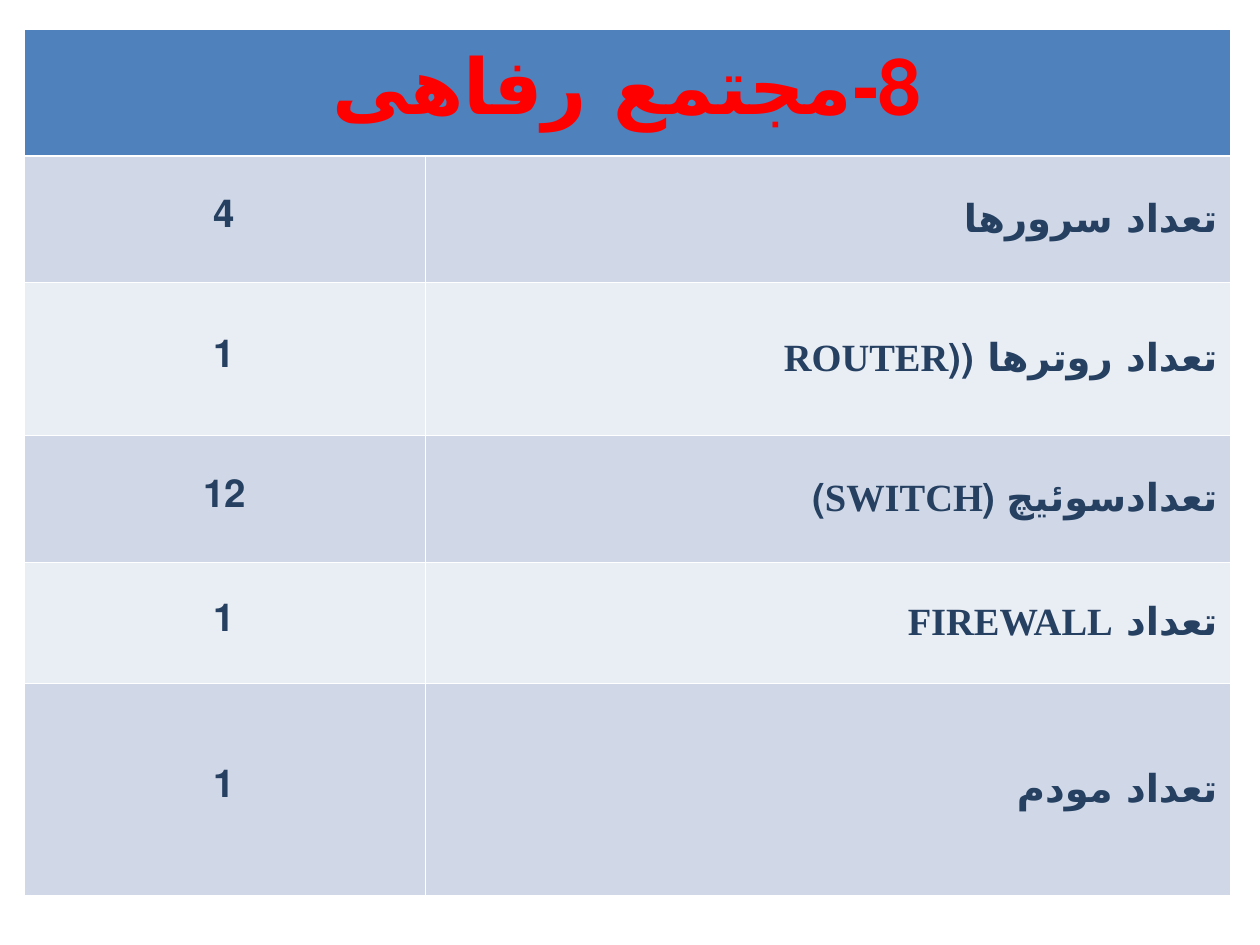
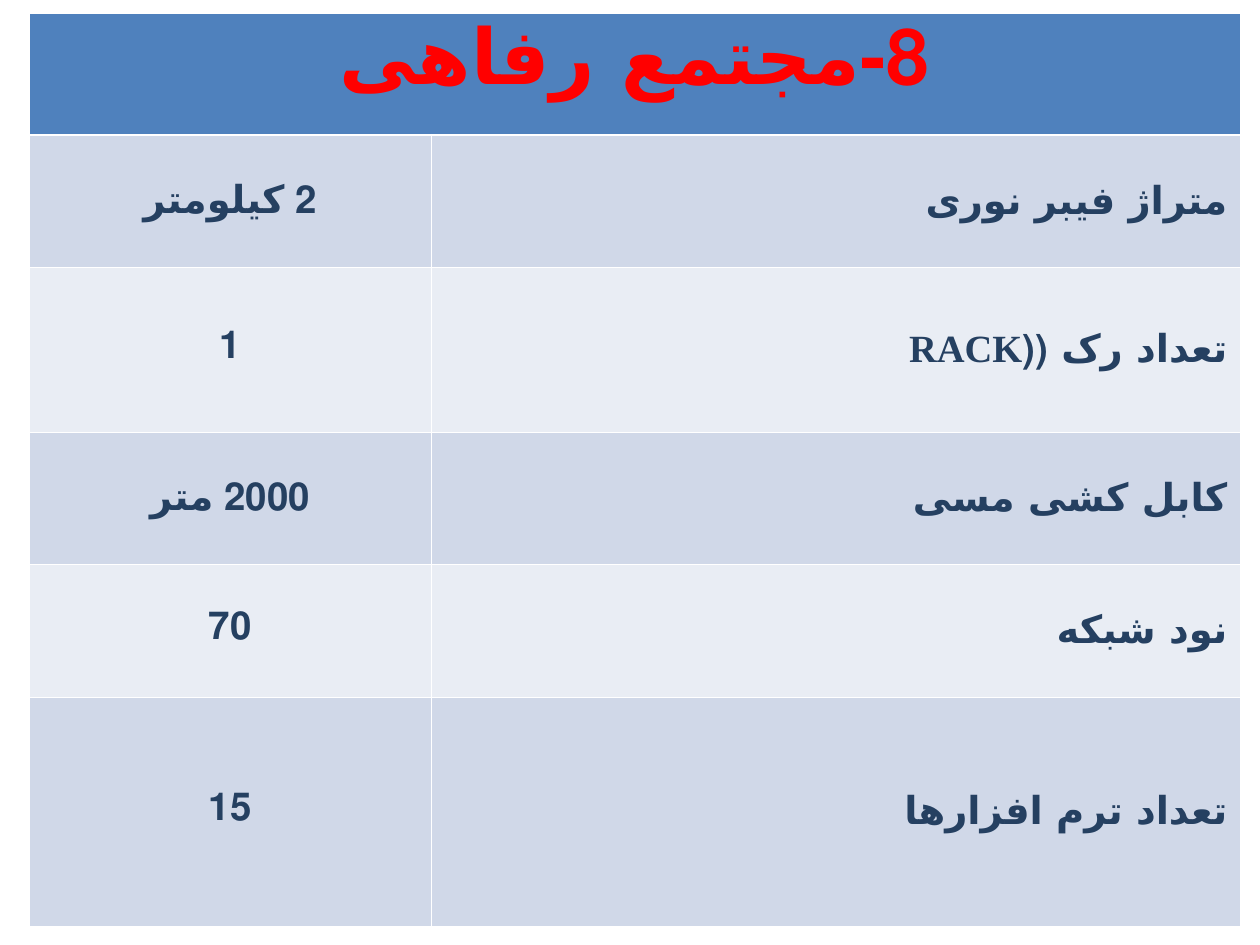
"""Build two slides of right-to-left equipment tables for a welfare complex."""
from lxml import etree
from pptx import Presentation
from pptx.dml.color import RGBColor
from pptx.enum.text import MSO_ANCHOR, PP_ALIGN
from pptx.oxml.ns import qn
from pptx.util import Pt

PX = 914400 / 126
MID, TOP = MSO_ANCHOR.MIDDLE, MSO_ANCHOR.TOP
CENTER, RIGHT = PP_ALIGN.CENTER, PP_ALIGN.RIGHT
WORD = ("Calibri", "DejaVu Sans")
NUM = ("Calibri", "Helvetica")
LATIN = ("Times New Roman", "Helvetica")
HEAD, BANDS, RULE = "4F81BD", ("D0D8E8", "E9EDF4"), "FFFFFF"
THIN, THICK = 0.45, 1.47
TITLE = [("8-", NUM), ("مجتمع رفاهی", WORD)]
BIG = {"size": Pt(44), "bold": True}
TEXT = {"size": Pt(22), "bold": True}

TABLES = [
    {"left": 24, "top": 29, "cols": (401, 805), "anchor": MID,
     "rows": (127, 126, 153, 127, 121, 212),
     "items": [
         ([("4", NUM)], [("تعداد سرورها", WORD)]),
         ([("1", NUM)], [("تعداد روترها ", WORD), ("((ROUTER", LATIN)]),
         ([("12", NUM)], [("تعدادسوئیچ", WORD), (" (SWITCH)", LATIN)]),
         ([("1", NUM)], [("تعداد ", WORD), ("FIREWALL", LATIN)]),
         ([("1", NUM)], [("تعداد مودم", WORD)])]},
    {"left": 29, "top": 13, "cols": (402, 809), "anchor": TOP,
     "rows": (122, 132, 165, 132, 133, 229),
     "items": [
         ([("2 ", NUM), ("کیلومتر", WORD)], [("متراژ فیبر نوری", WORD)]),
         ([("1", NUM)], [("تعداد رک ", WORD), ("((RACK", LATIN)]),
         ([("2000 ", NUM), ("متر", WORD)], [("کابل کشی مسی", WORD)]),
         ([("70", NUM)], [("نود شبکه", WORD)]),
         ([("15", NUM)], [("تعداد ترم افزارها", WORD)])]},
]


def px(n):
    return round(n * PX)


def color(text):
    return RGBColor.from_string(text)


deck = Presentation()
deck.slide_width, deck.slide_height = px(1260), px(945)

for data in TABLES:
    slide = deck.slides.add_slide(deck.slide_layouts[6])
    cols, rows = data["cols"], data["rows"]
    frame = slide.shapes.add_table(
        len(rows), len(cols), px(data["left"]), px(data["top"]),
        px(sum(cols)), px(sum(rows)))
    table = frame.table
    for col, width in zip(table.columns, cols):
        col.width = px(width)
    for row, height in zip(table.rows, rows):
        row.height = px(height)
    table.cell(0, 0).merge(table.cell(0, 1))
    table.cell(0, 0).margin_top = 0

    for i, pair in enumerate([(TITLE, [])] + data["items"]):
        for j, runs in enumerate(pair):
            cell = table.cell(i, j)
            cell.vertical_anchor = MID if i else data["anchor"]
            cell.fill.solid()
            cell.fill.fore_color.rgb = color(BANDS[(i - 1) % 2] if i else HEAD)

            props = cell._tc.get_or_add_tcPr()
            sides = {"lnL": THIN, "lnR": THIN,
                     "lnT": THICK if i == 1 else THIN,
                     "lnB": THIN if i else THICK}
            for k, (side, width) in enumerate(sides.items()):
                line = etree.Element(qn("a:" + side), w=str(Pt(width)))
                fill = etree.SubElement(line, qn("a:solidFill"))
                etree.SubElement(fill, qn("a:srgbClr"), val=RULE)
                props.insert(k, line)

            para = cell.text_frame.paragraphs[0]
            para.alignment = RIGHT if j else CENTER
            para._p.get_or_add_pPr().set("rtl", "1")
            for text, (face, script) in runs:
                run = para.add_run()
                run.text = text
                for key, value in (TEXT if i else BIG).items():
                    setattr(run.font, key, value)
                run.font.name = face
                run.font.color.rgb = color("254061" if i else "FF0000")
                etree.SubElement(run._r.get_or_add_rPr(), qn("a:cs"),
                                 typeface=script)

deck.save("out.pptx")
